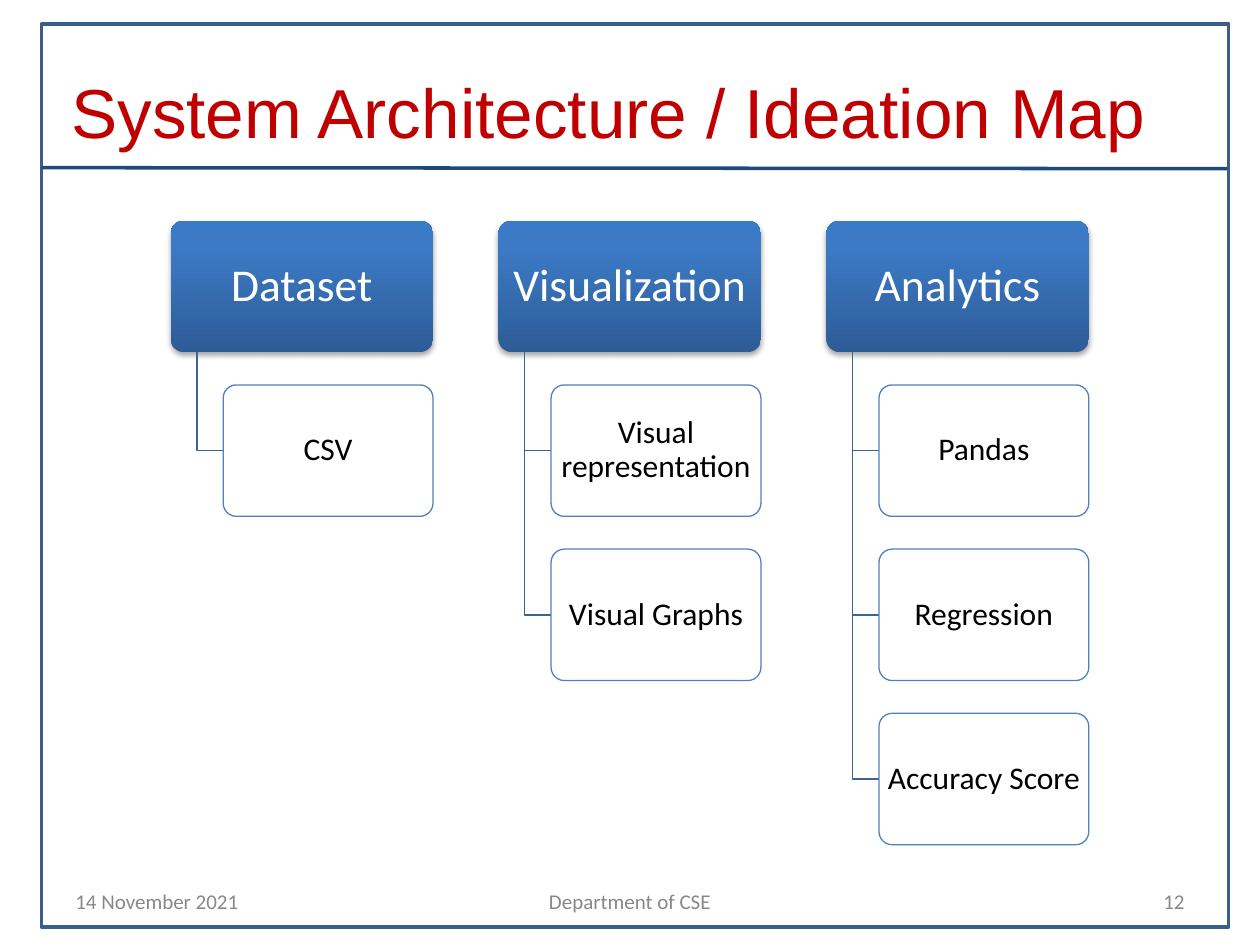
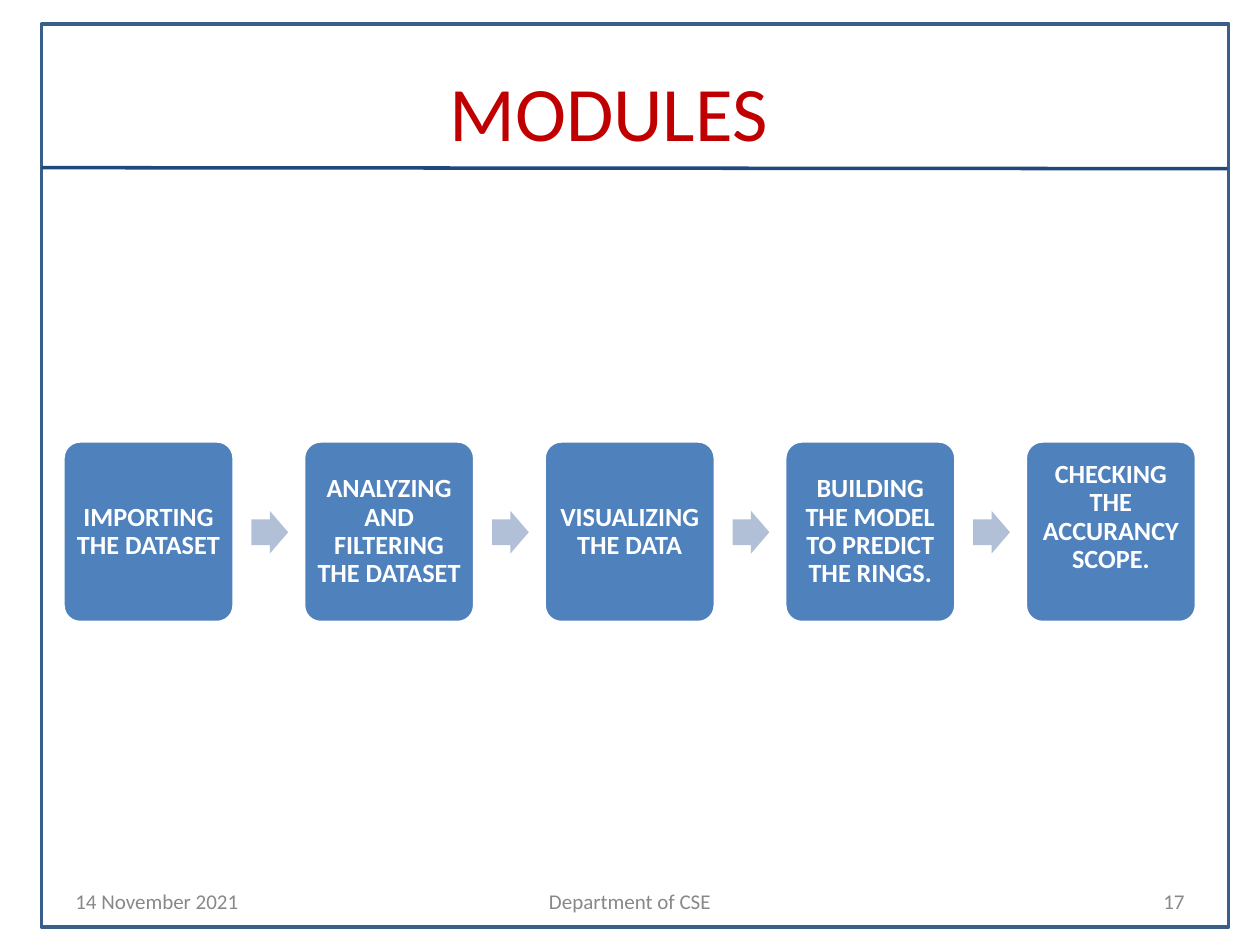
from copy import deepcopy

from pptx import Presentation
from pptx.dml.color import RGBColor
from pptx.enum.shapes import MSO_CONNECTOR, MSO_SHAPE
from pptx.enum.text import MSO_ANCHOR, PP_ALIGN
from pptx.oxml import parse_xml
from pptx.oxml.ns import nsdecls, qn
from pptx.util import Cm, Pt

# Colours
WHITE = RGBColor(0xFF, 0xFF, 0xFF)
BLACK = RGBColor(0x00, 0x00, 0x00)
TITLE_RED = RGBColor(0xC0, 0x00, 0x00)
FOOTER_GREY = RGBColor(0x88, 0x88, 0x88)
FRAME_BLUE = RGBColor(0x39, 0x5E, 0x89)
RULE_BLUE = RGBColor(0x1F, 0x49, 0x7D)
BOX_BLUE = RGBColor(0x4F, 0x81, 0xBD)
BRANCH_BLUE = RGBColor(0x3B, 0x64, 0x95)
ARROW_BLUE = RGBColor(0xB1, 0xC0, 0xD7)
HEADER_GRADIENT = [
    (0, RGBColor(0x2D, 0x5C, 0x97)),
    (0.8, RGBColor(0x3C, 0x7A, 0xC5)),
    (1, RGBColor(0x39, 0x7B, 0xC9)),
]
HEADER_SHADOW = (
    f'<a:outerShdw {nsdecls("a")} blurRad="40000" dist="23000" dir="5400000" rotWithShape="0">'
    '<a:srgbClr val="000000"><a:alpha val="35000"/></a:srgbClr></a:outerShdw>'
)


def write_text(shape, text, size=12, color=BLACK, font="Calibri", bold=False,
               align=PP_ALIGN.CENTER, spacing=1.0, margins=(0.25, 0.13), extra_bottom=0):
    frame = shape.text_frame
    frame.word_wrap = True
    frame.vertical_anchor = MSO_ANCHOR.MIDDLE
    frame.margin_left = frame.margin_right = Cm(margins[0])
    frame.margin_top = Cm(margins[1])
    frame.margin_bottom = Cm(margins[1] + extra_bottom)
    paragraph = frame.paragraphs[0]
    paragraph.alignment = align
    paragraph.line_spacing = spacing
    run = paragraph.add_run()
    run.text = text
    run.font.name = font
    run.font.size = Pt(size)
    run.font.bold = bold
    run.font.color.rgb = color


def add_box(slide, kind, left, top, width, height, fill=None, line=None, weight=0.75):
    shape = slide.shapes.add_shape(kind, Cm(left), Cm(top), Cm(width), Cm(height))
    shape.shadow.inherit = False
    if fill is None:
        shape.fill.background()
    else:
        shape.fill.solid()
        shape.fill.fore_color.rgb = fill
    if line is None:
        shape.line.fill.background()
    else:
        shape.line.color.rgb = line
        shape.line.width = Pt(weight)
    if kind == MSO_SHAPE.ROUNDED_RECTANGLE:
        shape.adjustments[0] = 0.1
    return shape


presentation = Presentation()
presentation.slide_width = Cm(25.4)
presentation.slide_height = Cm(19.05)

# Frame, rule, title and footer of every slide
slides = []
for title, title_font, title_size, number in [
    ("System Architecture / Ideation Map", "Arial", 39.6, "12"),
    ("MODULES", "Calibri", 44, "17"),
]:
    slide = presentation.slides.add_slide(presentation.slide_layouts[6])
    slides.append(slide)
    add_box(slide, MSO_SHAPE.RECTANGLE, 0.84, 0.48, 23.93, 18.21, line=FRAME_BLUE, weight=2)

    rule = slide.shapes.add_connector(
        MSO_CONNECTOR.STRAIGHT, Cm(0.84), Cm(3.38), Cm(24.74), Cm(3.4))
    rule.line.color.rgb = RULE_BLUE
    rule.line.width = Pt(2)
    rule._element.spPr.append(parse_xml(f'<a:effectLst {nsdecls("a")}/>'))

    title_box = slide.shapes.add_textbox(Cm(0.84), Cm(0.64), Cm(22.86), Cm(3.18))
    write_text(title_box, title, size=title_size, font=title_font, color=TITLE_RED)

    for left, width, text, align in [
        (1.27, 5.93, "14 November 2021", PP_ALIGN.LEFT),
        (8.68, 8.04, "Department of CSE", PP_ALIGN.CENTER),
        (18.2, 5.93, number, PP_ALIGN.RIGHT),
    ]:
        footer = slide.shapes.add_textbox(Cm(left), Cm(17.66), Cm(width), Cm(1.01))
        write_text(footer, text, color=FOOTER_GREY, align=align)

architecture_slide, modules_slide = slides

# Architecture: three headers, each with its branches below
branches = {
    "Dataset": ["CSV"],
    "Visualization": ["Visual representation", "Visual Graphs"],
    "Analytics": ["Pandas", "Regression", "Accuracy Score"],
}
header_top, header_width, box_height = 4.45, 5.29, 2.65
column_step, row_step = 6.61, 3.31
for column, (heading, items) in enumerate(branches.items()):
    left = 3.44 + column * column_step
    header = add_box(architecture_slide, MSO_SHAPE.ROUNDED_RECTANGLE,
                     left, header_top, header_width, box_height)
    header.fill.gradient()
    header.fill.gradient_angle = 90
    properties = header._element.spPr
    stop_list = properties.find(".//" + qn("a:gsLst"))
    stop_list.append(deepcopy(stop_list[-1]))
    for stop, (position, color) in zip(header.fill.gradient_stops, HEADER_GRADIENT):
        stop.position = position
        stop.color.rgb = color
    properties.find(qn("a:effectLst")).append(parse_xml(HEADER_SHADOW))
    write_text(header, heading, size=26, color=WHITE, spacing=0.9, margins=(0.13, 0.1))

    trunk, item_left = left + 0.53, left + 1.06
    for row, item in enumerate(items, start=1):
        item_top = header_top + row * row_step
        middle = item_top + box_height / 2
        builder = architecture_slide.shapes.build_freeform(
            Cm(trunk), Cm(header_top + box_height))
        builder.add_line_segments(
            [(Cm(trunk), Cm(middle)), (Cm(item_left), Cm(middle))], close=False)
        branch = builder.convert_to_shape()
        branch.shadow.inherit = False
        branch.fill.background()
        branch.line.color.rgb = BRANCH_BLUE
        branch.line.width = Pt(0.75)

        item_box = add_box(architecture_slide, MSO_SHAPE.ROUNDED_RECTANGLE, item_left, item_top,
                           4.23, box_height, fill=WHITE, line=BOX_BLUE)
        write_text(item_box, item, size=18, spacing=0.9, margins=(0.09, 0.06))

# Modules: a row of steps joined by arrows
modules = [
    "IMPORTING THE DATASET",
    "ANALYZING AND FILTERING THE DATASET",
    "VISUALIZING THE DATA",
    "BUILDING THE MODEL TO PREDICT THE RINGS.",
    "CHECKING THE ACCURANCY SCOPE.",
]
for index, module in enumerate(modules):
    left = 1.27 + index * 4.85
    is_last = index == len(modules) - 1
    module_box = add_box(modules_slide, MSO_SHAPE.ROUNDED_RECTANGLE, left, 8.89, 3.45, 3.66,
                         fill=BOX_BLUE, line=WHITE, weight=2)
    write_text(module_box, module, size=15, color=WHITE, bold=True, spacing=0.9,
               margins=(0.15, 0.15), extra_bottom=0.57 if is_last else 0)
    if not is_last:
        arrow = add_box(modules_slide, MSO_SHAPE.RIGHT_ARROW, left + 3.8, 10.3, 0.74, 0.86,
                        fill=ARROW_BLUE)
        arrow.adjustments[0] = 0.6
        arrow.adjustments[1] = 0.5

presentation.save("out.pptx")
